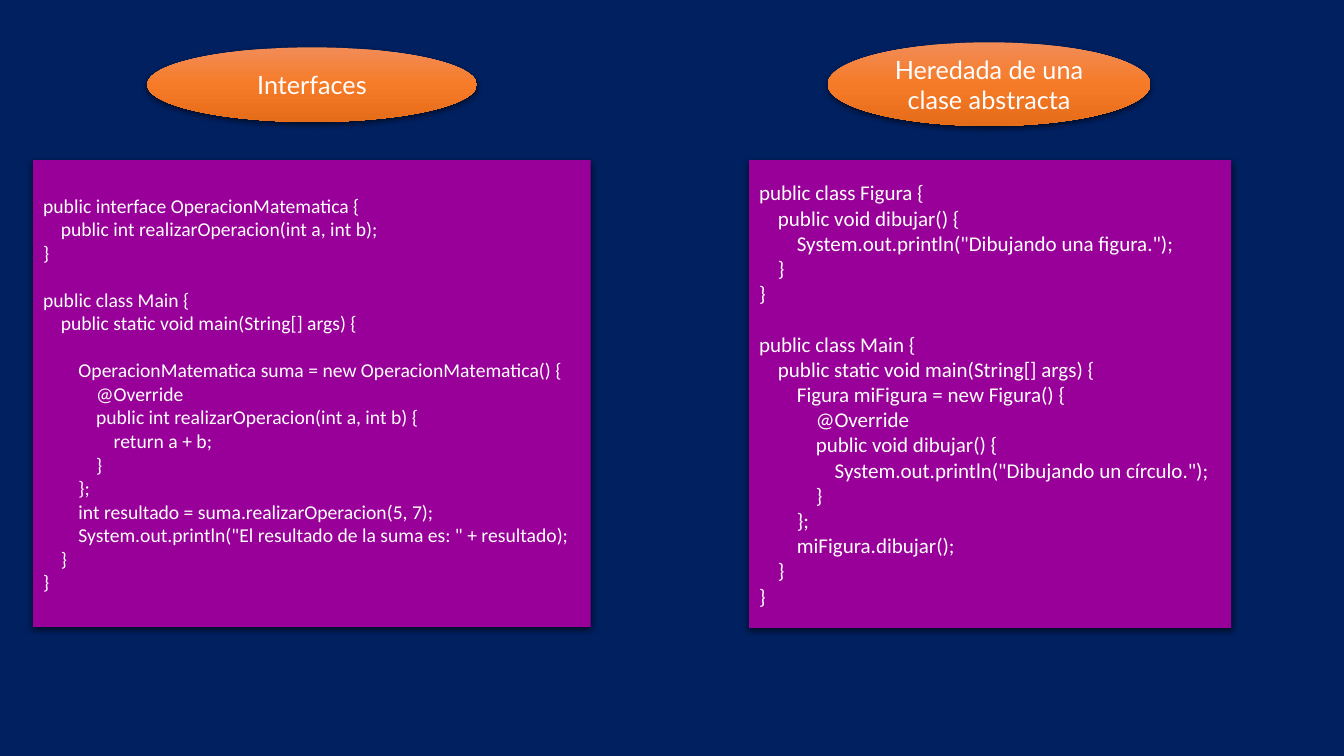
"""Build a slide comparing an interface with an inherited class in Java."""
import copy
import dataclasses
import typing

import lxml.etree
import pptx
import pptx.dml.color
import pptx.enum.shapes
import pptx.enum.text
import pptx.oxml
import pptx.oxml.ns
import pptx.shapes.autoshape
import pptx.slide
import pptx.util

Inches = pptx.util.Inches
Pt = pptx.util.Pt
RGB = pptx.dml.color.RGBColor.from_string
Shape = pptx.shapes.autoshape.Shape
Kind = pptx.enum.shapes.MSO_SHAPE
Align = pptx.enum.text.PP_ALIGN


@dataclasses.dataclass(frozen=True)
class Theme:
    """Colours, fonts and type sizes of the slide."""
    backdrop: str = "002060"
    panel: str = "990099"
    text: str = "FFFFFF"
    shadow: str = "000000"
    orange: tuple[str, ...] = ("F18C57", "F67B28", "E56C19")
    heading_font: str = "Lato"
    code_font: str = "Calibri"
    heading_size: int = 18
    interface_size: int = 14
    class_size: int = 15
    indent_ratio: float = 0.9
    line_ratio: float = 1.2


class Box(typing.NamedTuple):
    """Left, top, width and height in inches."""
    left: float
    top: float
    width: float
    height: float


class Example(typing.NamedTuple):
    """A heading with the code listing below it."""
    heading: str
    heading_box: Box
    code: str
    code_box: Box
    code_size: int


THEME = Theme()
PAGE = Box(0, 0, 13.33, 7.5)
INDENT_WIDTH = 4

INTERFACE_CODE = """\
public interface OperacionMatematica {
    public int realizarOperacion(int a, int b);
}

public class Main {
    public static void main(String[] args) {

        OperacionMatematica suma = new OperacionMatematica() {
            @Override
            public int realizarOperacion(int a, int b) {
                return a + b;
            }
        };
        int resultado = suma.realizarOperacion(5, 7);
        System.out.println("El resultado de la suma es: " + resultado);
    }
}"""

CLASS_CODE = """\
public class Figura {
    public void dibujar() {
        System.out.println("Dibujando una figura.");
    }
}

public class Main {
    public static void main(String[] args) {
        Figura miFigura = new Figura() {
            @Override
            public void dibujar() {
                System.out.println("Dibujando un círculo.");
            }
        };
        miFigura.dibujar();
    }
}"""

EXAMPLES = (
    Example("Interfaces", Box(1.46, 0.47, 3.27, 0.74),
            INTERFACE_CODE, Box(0.33, 1.59, 5.53, 4.63), THEME.interface_size),
    Example("Heredada de una clase abstracta", Box(8.21, 0.42, 3.2, 0.83),
            CLASS_CODE, Box(7.43, 1.59, 4.78, 4.64), THEME.class_size),
)


def apply_format(target: object, values: dict[str, object]) -> None:
    """Set each named attribute on the target."""
    for name, value in values.items():
        setattr(target, name, value)


def add_area(slide: pptx.slide.Slide, kind: Kind, box: Box) -> Shape:
    """Add a shape without line or shadow, its text centred vertically."""
    area = slide.shapes.add_shape(kind, *map(Inches, box))
    area.line.fill.background()
    area.shadow.inherit = False
    apply_format(area.text_frame, {
        "word_wrap": True,
        "vertical_anchor": pptx.enum.text.MSO_ANCHOR.MIDDLE,
    })
    return area


def fill_solid(area: Shape, colour: str) -> None:
    """Fill the area with one colour."""
    area.fill.solid()
    area.fill.fore_color.rgb = RGB(colour)


def fill_gradient(area: Shape, colours: tuple[str, ...]) -> None:
    """Fill the area from top to bottom with evenly spaced colours."""
    area.fill.gradient()
    area.fill.gradient_angle = 270
    stop_list = area._element.spPr.find(".//" + pptx.oxml.ns.qn("a:gsLst"))
    while len(stop_list) < len(colours):
        stop_list.append(copy.deepcopy(stop_list[0]))
    for index, (stop, colour) in enumerate(zip(area.fill.gradient_stops, colours)):
        stop.color.rgb = RGB(colour)
        stop.position = index / (len(colours) - 1)


def cast_shadow(area: Shape) -> None:
    """Give the area a soft shadow falling straight down."""
    qn = pptx.oxml.ns.qn
    effects = area._element.spPr.find(qn("a:effectLst"))
    shadow = lxml.etree.SubElement(effects, qn("a:outerShdw"), {
        "blurRad": str(Pt(4.5)), "dist": str(Pt(1.5)), "dir": "5400000",
        "algn": "ctr", "rotWithShape": "0",
    })
    colour = lxml.etree.SubElement(shadow, qn("a:srgbClr"), val=THEME.shadow)
    lxml.etree.SubElement(colour, qn("a:alpha"), val="63000")


def write(paragraph: typing.Any, text: str, font: str, size: int, align: Align) -> None:
    """Write one run of light text in the paragraph."""
    paragraph.alignment = align
    run = paragraph.add_run()
    run.text = text
    apply_format(run.font, {"name": font, "size": Pt(size)})
    run.font.color.rgb = RGB(THEME.text)


def add_heading(slide: pptx.slide.Slide, text: str, box: Box) -> None:
    """Draw an orange ellipse holding a heading."""
    heading = add_area(slide, Kind.OVAL, box)
    fill_gradient(heading, THEME.orange)
    cast_shadow(heading)
    write(heading.text_frame.paragraphs[0], text,
          THEME.heading_font, THEME.heading_size, Align.CENTER)


def add_code(slide: pptx.slide.Slide, code: str, box: Box, size: int) -> None:
    """Draw a panel of code, turning leading spaces and gaps into formatting."""
    panel = add_area(slide, Kind.RECTANGLE, box)
    fill_solid(panel, THEME.panel)
    cast_shadow(panel)
    frame = panel.text_frame
    after_gap = False
    for index, line in enumerate(code.splitlines()):
        statement = line.lstrip()
        if statement:
            paragraph = frame.add_paragraph() if index else frame.paragraphs[0]
            depth = (len(line) - len(statement)) // INDENT_WIDTH
            indent = Pt(depth * size * THEME.indent_ratio)
            paragraph._p.get_or_add_pPr().set("marL", str(indent))
            if after_gap:
                paragraph.space_before = Pt(size * THEME.line_ratio)
            write(paragraph, statement, THEME.code_font, size, Align.LEFT)
        after_gap = not statement


def main() -> None:
    """Build and save the slide."""
    deck = pptx.Presentation()
    apply_format(deck, {"slide_width": Inches(PAGE.width),
                        "slide_height": Inches(PAGE.height)})
    slide = deck.slides.add_slide(deck.slide_layouts[6])
    fill_solid(add_area(slide, Kind.RECTANGLE, PAGE), THEME.backdrop)
    for example in EXAMPLES:
        add_heading(slide, example.heading, example.heading_box)
        add_code(slide, example.code, example.code_box, example.code_size)
    deck.save("out.pptx")


main()
